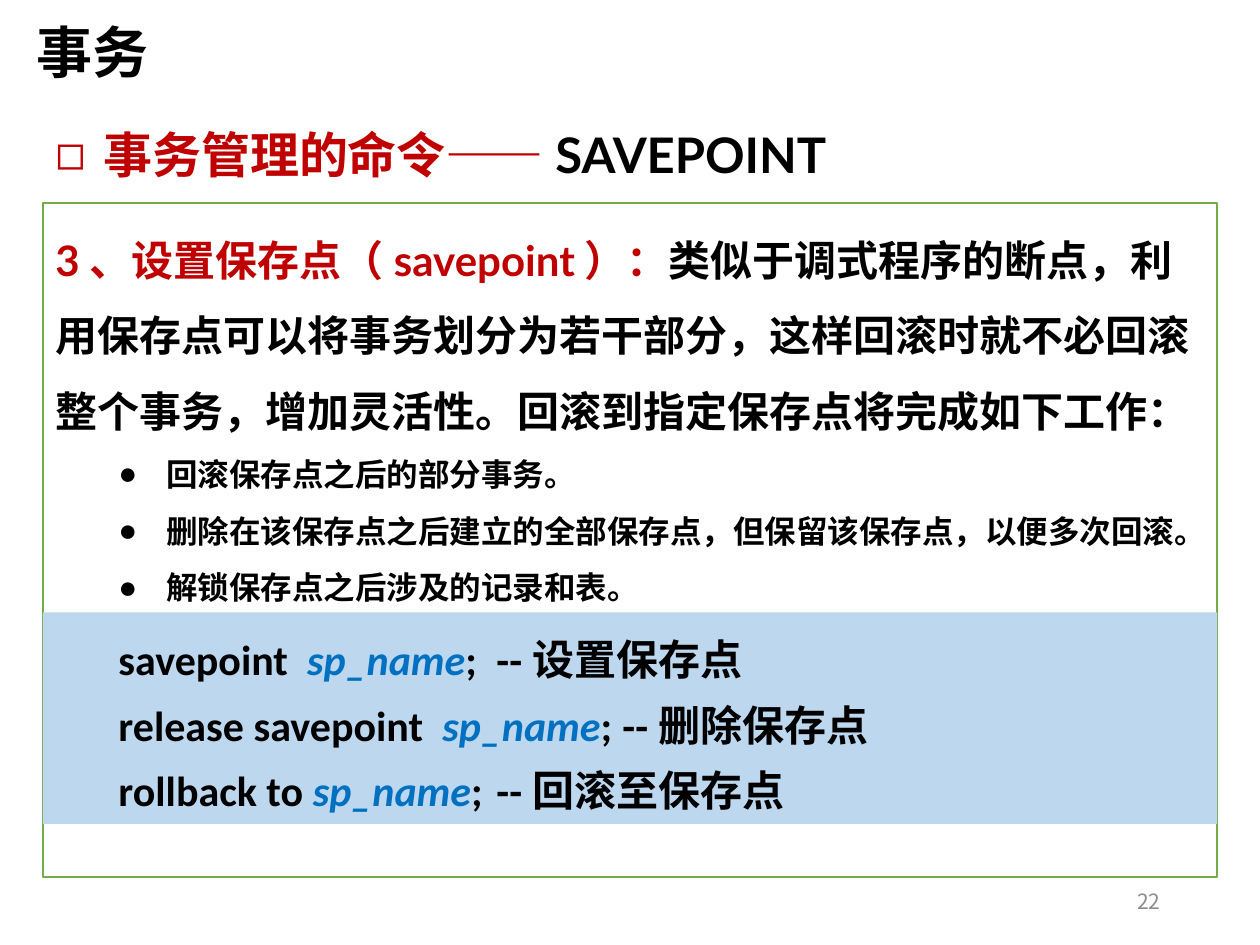
from dataclasses import dataclass
from lxml.etree import SubElement
from pptx import Presentation
from pptx.dml.color import RGBColor
from pptx.enum.shapes import MSO_SHAPE
from pptx.enum.text import MSO_ANCHOR, MSO_AUTO_SIZE, PP_ALIGN
from pptx.oxml.ns import qn
from pptx.util import Inches, Pt


@dataclass(frozen=True)
class Theme:
    """Colours, fonts and type sizes of the slide."""
    ink: str = "000000"
    accent: str = "C00000"
    name: str = "0070C0"
    muted: str = "8C8C8C"
    frame: str = "70AD47"
    panel: str = "BDD7EE"
    cjk: str = "Noto Sans CJK SC"
    latin: str = "Lato"
    code: str = "Calibri"
    title: int = 32
    heading: int = 28
    text: int = 24
    item: int = 18
    small: int = 12


class Deck:
    """Holds the theme and the current slide."""

    def __init__(self, prs, theme):
        """Add a slide with a title and two body placeholders."""
        self.t = theme
        self.s = prs.slides.add_slide(prs.slide_layouts[3])

    def place(self, sp, box, wrap=True, anchor=MSO_ANCHOR.TOP):
        """Move a shape and return its prepared text frame."""
        sp.left, sp.top, sp.width, sp.height = map(Inches, box)
        tf = sp.text_frame
        tf.auto_size = MSO_AUTO_SIZE.NONE
        tf.word_wrap = wrap
        tf.vertical_anchor = anchor
        return tf

    def run(self, p, text, size, color, font, bold=True, italic=False):
        """Append one formatted run."""
        r = p.add_run()
        r.text = text
        f = r.font
        f.size, f.bold, f.italic, f.name = Pt(size), bold, italic, font
        f.color.rgb = RGBColor.from_string(color)
        SubElement(r._r.get_or_add_rPr(), qn("a:ea")).set("typeface", self.t.cjk)

    def paragraph(self, tf, first=False, spacing=1.0, align=PP_ALIGN.LEFT,
                  bullet=None, indent=0, tab=None):
        """Return a paragraph with its spacing, bullet and tab stop."""
        p = tf.paragraphs[0] if first else tf.add_paragraph()
        p.alignment, p.line_spacing, p.space_before = align, spacing, Pt(0)
        pPr = p._p.get_or_add_pPr()
        pPr.set("marL", str(Inches(indent)))
        pPr.set("indent", str(Inches(-0.38 if bullet else 0)))
        if bullet:
            SubElement(pPr, qn("a:buChar")).set("char", bullet)
        else:
            SubElement(pPr, qn("a:buNone"))
        if tab:
            stop = SubElement(SubElement(pPr, qn("a:tabLst")), qn("a:tab"))
            stop.set("pos", str(Inches(tab)))
            stop.set("algn", "l")
        return p

    def title(self, text, box):
        """Fill the title placeholder."""
        tf = self.place(self.s.shapes.title, box, wrap=False)
        p = self.paragraph(tf, first=True)
        self.run(p, text, self.t.title, self.t.ink, self.t.cjk)

    def heading(self, topic, command, box):
        """Fill the first body placeholder with the section heading."""
        t = self.t
        tf = self.place(self.s.placeholders[1], box)
        p = self.paragraph(tf, first=True, bullet="◻", indent=0.38)
        self.run(p, topic, t.heading, t.accent, t.cjk)
        self.run(p, command, t.heading, t.ink, t.latin)

    def explanation(self, lead, text, items, box):
        """Fill the framed body placeholder with a paragraph and a list."""
        t = self.t
        sp = self.s.placeholders[2]
        sp.line.color.rgb = RGBColor.from_string(t.frame)
        sp.line.width = Pt(1)
        tf = self.place(sp, box)
        p = self.paragraph(tf, first=True, spacing=1.5)
        self.run(p, lead, t.text, t.accent, t.latin)
        self.run(p, text, t.text, t.ink, t.latin)
        for item in items:
            p = self.paragraph(tf, spacing=1.5, bullet="●", indent=0.88)
            p.level = 1
            self.run(p, item, t.item, t.ink, t.latin)

    def commands(self, rows, box):
        """Draw the panel of commands with aligned comments."""
        t = self.t
        sp = self.s.shapes.add_shape(MSO_SHAPE.RECTANGLE, *map(Inches, box))
        sp.shadow.inherit = False
        sp.fill.solid()
        sp.fill.fore_color.rgb = RGBColor.from_string(t.panel)
        sp.line.fill.background()
        tf = self.place(sp, box)
        tf.margin_left = Inches(0.6)
        for i, (command, note) in enumerate(rows):
            p = self.paragraph(tf, first=i == 0, spacing=1.3, tab=5.1)
            self.run(p, command, t.text, t.ink, t.code)
            self.run(p, "sp_name", t.text, t.name, t.code, italic=True)
            self.run(p, f";\t--{note}", t.text, t.ink, t.code)

    def page_number(self, text, box):
        """Write the page number."""
        sp = self.s.shapes.add_textbox(*map(Inches, box))
        tf = self.place(sp, box, anchor=MSO_ANCHOR.MIDDLE)
        p = self.paragraph(tf, first=True, align=PP_ALIGN.RIGHT)
        self.run(p, text, self.t.small, self.t.muted, self.t.cjk, bold=False)


def main():
    """Build the savepoint slide."""
    prs = Presentation()
    prs.slide_width, prs.slide_height = Inches(10), Inches(7.5)
    left, width = 0.34, 9.32
    deck = Deck(prs, Theme())
    deck.title("事务", (0.19, 0.09, 1.1, 0.64))
    deck.heading("事务管理的命令——", "SAVEPOINT", (left, 0.94, width, 0.57))
    deck.explanation(
        "3、设置保存点（savepoint）：",
        "类似于调式程序的断点，利用保存点可以将事务划分为若干部分，"
        "这样回滚时就不必回滚整个事务，增加灵活性。"
        "回滚到指定保存点将完成如下工作：",
        ["回滚保存点之后的部分事务。",
         "删除在该保存点之后建立的全部保存点，但保留该保存点，以便多次回滚。",
         "解锁保存点之后涉及的记录和表。"],
        (left, 1.61, width, 5.35))
    deck.commands(
        [("savepoint  ", "设置保存点"),
         ("release savepoint  ", "删除保存点"),
         ("rollback to ", "回滚至保存点")],
        (left, 4.86, width, 1.68))
    deck.page_number("22", (7.06, 6.95, 2.25, 0.4))
    prs.save("out.pptx")


if __name__ == "__main__":
    main()
